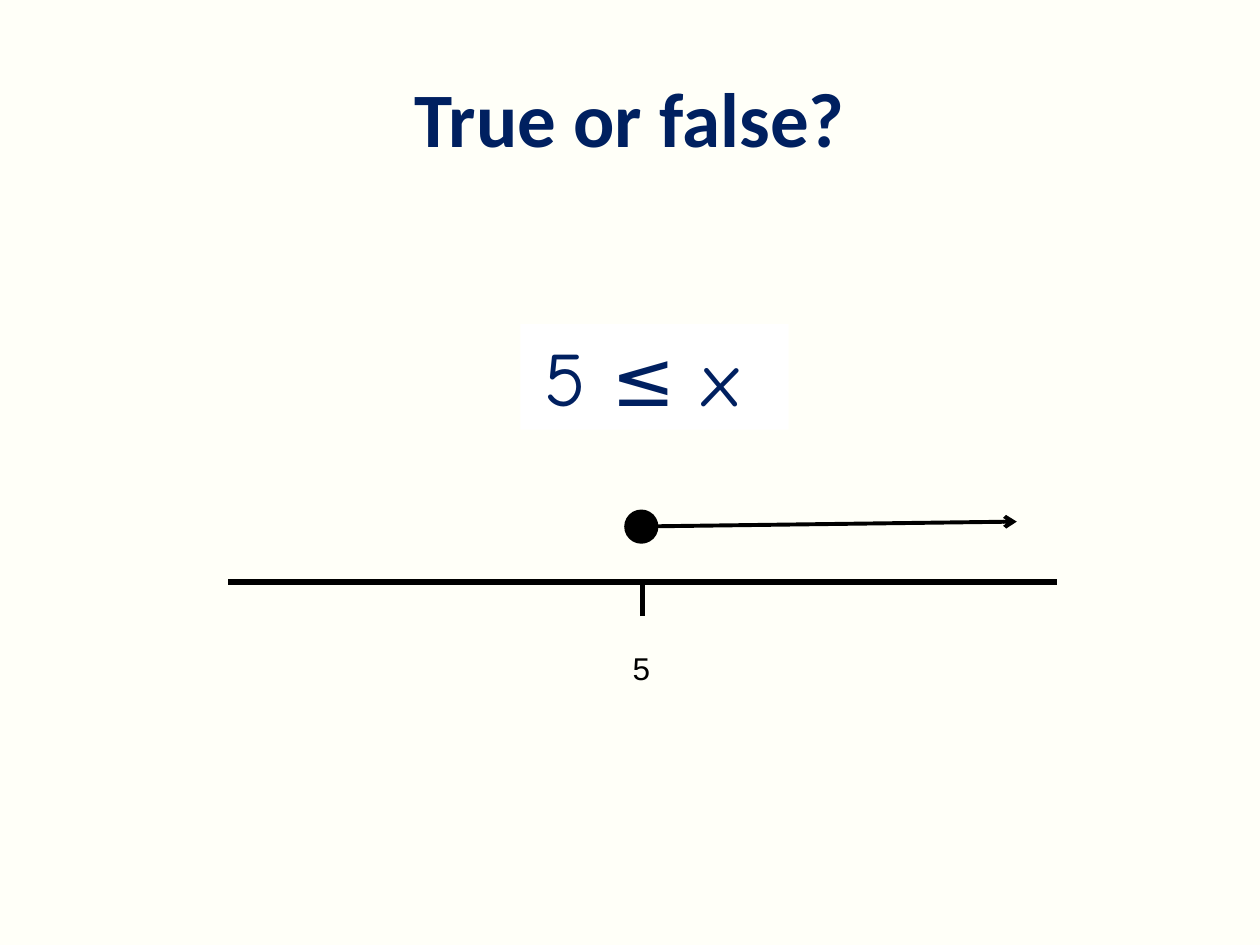
from dataclasses import dataclass

from lxml import etree
from pptx import Presentation
from pptx.dml.color import RGBColor
from pptx.enum.shapes import MSO_CONNECTOR, MSO_SHAPE
from pptx.enum.text import MSO_ANCHOR, PP_ALIGN
from pptx.oxml.ns import qn
from pptx.util import Inches, Pt

RECT, OVAL = MSO_SHAPE.RECTANGLE, MSO_SHAPE.OVAL
STRAIGHT = MSO_CONNECTOR.STRAIGHT
CENTER = PP_ALIGN.CENTER
TOP, MIDDLE = MSO_ANCHOR.TOP, MSO_ANCHOR.MIDDLE


@dataclass(frozen=True)
class Theme:
    page: RGBColor = RGBColor(0xFF, 0xFF, 0xF8)
    panel: RGBColor = RGBColor(0xFF, 0xFF, 0xFF)
    navy: RGBColor = RGBColor(0x00, 0x20, 0x60)
    ink: RGBColor = RGBColor(0x00, 0x00, 0x00)
    large: Pt = Pt(44)
    small: Pt = Pt(18)
    thick: Pt = Pt(3)
    thin: Pt = Pt(2.25)


theme = Theme()


def write(shape, text, face, size, color, anchor=TOP, after=0, bold=False):
    frame = shape.text_frame
    frame.word_wrap = True
    frame.vertical_anchor = anchor
    para = frame.paragraphs[0]
    para.text = text
    para.alignment = CENTER
    para.space_after = Pt(after)
    font = para.font
    font.name, font.size, font.bold = face, size, bold
    font.color.rgb = color


def draw(x1, y1, x2, y2, width):
    line = slide.shapes.add_connector(
        STRAIGHT, Inches(x1), Inches(y1), Inches(x2), Inches(y2))
    line.line.color.rgb = theme.ink
    line.line.width = width
    etree.SubElement(line._element.spPr, qn("a:effectLst"))
    return line


deck = Presentation()
deck.slide_width, deck.slide_height = Inches(10), Inches(7.5)
slide = deck.slides.add_slide(deck.slide_layouts[5])
slide.background.fill.solid()
slide.background.fill.fore_color.rgb = theme.page

title = slide.shapes.title
title.left, title.top = Inches(0.5), Inches(0.3)
title.width, title.height = Inches(9), Inches(1.25)
write(title, "True or false?", "Calibri", theme.large, theme.navy,
      anchor=MIDDLE, bold=True)

# Inequality
panel = slide.shapes.add_shape(
    RECT, Inches(4.13), Inches(2.57), Inches(2.13), Inches(0.84))
panel.shadow.inherit = False
panel.fill.solid()
panel.fill.fore_color.rgb = theme.panel
panel.line.fill.background()
# The trailing space shifts the centred text left
write(panel, "5 ≤ x ", "Comic Neue", theme.large, theme.navy, after=10)

# Number line
label = slide.shapes.add_textbox(
    Inches(3.95), Inches(5.1), Inches(2.28), Inches(0.4))
write(label, "5", "Arial", theme.small, theme.ink, after=10)

dot = slide.shapes.add_shape(
    OVAL, Inches(4.97), Inches(4.06), Inches(0.24), Inches(0.24))
dot.shadow.inherit = False
dot.fill.solid()
dot.fill.fore_color.rgb = theme.ink
dot.line.color.rgb = theme.ink
dot.line.width = theme.thin

axis = 4.62
draw(1.81, axis, 8.39, axis, theme.thick)
draw(5.1, 4.89, 5.1, axis, theme.thick)
ray = draw(4.97, 4.18, 8.07, 4.14, theme.thin)
etree.SubElement(ray.line._get_or_add_ln(), qn("a:tailEnd"), type="arrow")

deck.save("out.pptx")
